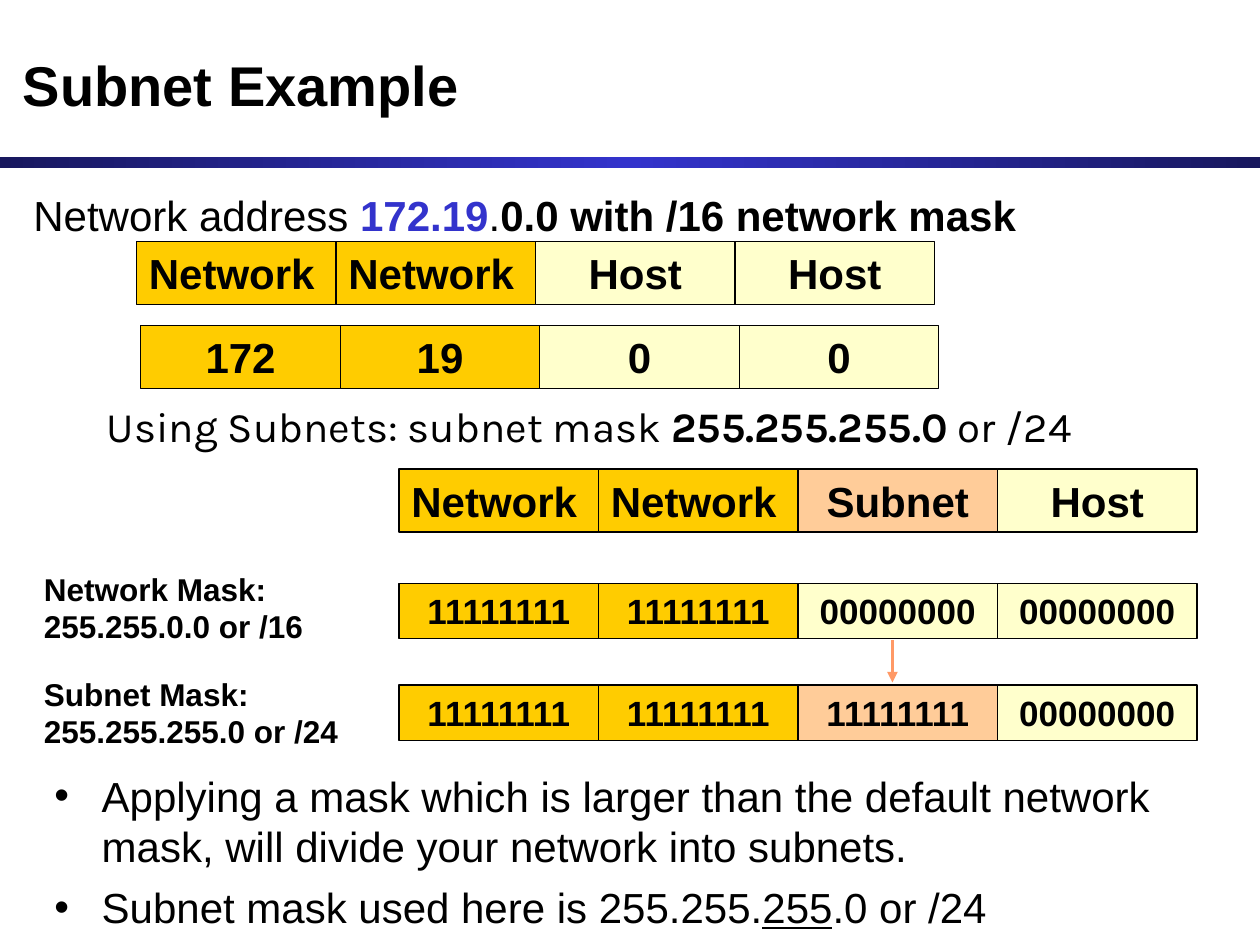
import pptx
import pptx.dml.color
import pptx.enum.shapes
import pptx.enum.text
import pptx.oxml
import pptx.oxml.ns
import pptx.util
from lxml import etree

Pt = pptx.util.Pt
ALIGN = pptx.enum.text.PP_ALIGN
ANCHOR = pptx.enum.text.MSO_ANCHOR
qn = pptx.oxml.ns.qn

COLORS = {
    "text": "000000",
    "accent": "3333CC",
    "bar_edge": "18185E",
    "network": "FFCC00",
    "subnet": "FFCC99",
    "host": "FFFFCC",
    "arrow": "FF9966",
}
CELL_WIDTH = 114


def rgb(name):
    return pptx.dml.color.RGBColor.from_string(COLORS[name])


class SlideBuilder:
    def __init__(self, slide, font="Arial"):
        self.slide = slide
        self.font = font

    def style(self, para, size, bold=None, font=None):
        para.font.name = font or self.font
        para.font.size = Pt(size)
        para.font.bold = bold
        para.font.color.rgb = rgb("text")

    def add_spans(self, para, spans):
        """Fill a paragraph from (text, marks) pairs; marks: b bold, a accent, u underline."""
        for text, marks in spans:
            span = para.add_run()
            span.text = text
            if "b" in marks:
                span.font.bold = True
            if "a" in marks:
                span.font.color.rgb = rgb("accent")
            if "u" in marks:
                span.font.underline = True

    def text(self, left, top, width, height, paragraphs, size, bold=None, font=None,
             anchor=ANCHOR.TOP, bullets=False, line_spacing=None):
        box = self.slide.shapes.add_textbox(Pt(left), Pt(top), Pt(width), Pt(height))
        frame = box.text_frame
        frame.word_wrap = True
        frame.vertical_anchor = anchor
        for index, spans in enumerate(paragraphs):
            para = frame.add_paragraph() if index else frame.paragraphs[0]
            if index:
                para.space_before = Pt(6)
            if line_spacing:
                para.line_spacing = line_spacing
            if bullets:
                self.bullet(para)
            self.style(para, size, bold, font)
            self.add_spans(para, spans)

    def bullet(self, para):
        properties = para._p.get_or_add_pPr()
        properties.set("marL", str(Pt(27)))
        properties.set("indent", str(-Pt(27)))
        etree.SubElement(properties, qn("a:buFont")).set("typeface", self.font)
        etree.SubElement(properties, qn("a:buChar")).set("char", "•")

    def rectangle(self, left, top, width, height):
        shape = self.slide.shapes.add_shape(
            pptx.enum.shapes.MSO_SHAPE.RECTANGLE, Pt(left), Pt(top), Pt(width), Pt(height))
        shape.shadow.inherit = False
        return shape

    def gradient_bar(self, left, top, width, height):
        bar = self.rectangle(left, top, width, height)
        bar.line.fill.background()
        bar.fill.gradient()
        bar.fill.gradient_angle = 0
        stops = bar.fill._fill._gradFill.find(qn("a:gsLst"))
        for stop in list(stops):
            stops.remove(stop)
        for position, color in ((0, "bar_edge"), (50000, "accent"), (100000, "bar_edge")):
            stop = etree.SubElement(stops, qn("a:gs"), pos=str(position))
            etree.SubElement(stop, qn("a:srgbClr"), val=COLORS[color])

    def cell_row(self, left, top, height, size, cells):
        """Draw adjoining cells from (label, kind) pairs."""
        for column, (label, kind) in enumerate(cells):
            cell = self.rectangle(left + column * CELL_WIDTH, top, CELL_WIDTH, height)
            cell.fill.solid()
            cell.fill.fore_color.rgb = rgb(kind)
            cell.line.color.rgb = rgb("text")
            cell.line.width = Pt(0.75)
            frame = cell.text_frame
            frame.word_wrap = True
            frame.vertical_anchor = ANCHOR.TOP
            para = frame.paragraphs[0]
            para.text = label
            para.alignment = ALIGN.LEFT if label == "Network" else ALIGN.CENTER
            self.style(para, size, bold=True)

    def arrow(self, start_x, start_y, end_x, end_y):
        line = self.slide.shapes.add_connector(
            pptx.enum.shapes.MSO_CONNECTOR.STRAIGHT,
            Pt(start_x), Pt(start_y), Pt(end_x), Pt(end_y))
        line.line.color.rgb = rgb("arrow")
        line.line.width = Pt(2)
        etree.SubElement(line.line._get_or_add_ln(), qn("a:tailEnd"), type="triangle")
        etree.SubElement(line._element.spPr, qn("a:effectLst"))


def main():
    deck = pptx.Presentation()
    deck.slide_width, deck.slide_height = Pt(720), Pt(540)
    page = SlideBuilder(deck.slides.add_slide(deck.slide_layouts[6]))

    page.gradient_bar(0, 90, 720, 6)
    page.text(6, 12, 708, 72, [[("Subnet Example", "")]], 32, bold=True, anchor=ANCHOR.MIDDLE)

    page.text(12, 108, 678, 30, [[
        ("Network address ", ""), ("172.19", "ab"), (".", ""),
        ("0.0 with /16 network mask", "b")]], 24, line_spacing=0.9)
    page.text(54, 225.5, 618, 36, [[
        ("Using Subnets: subnet mask ", ""), ("255.255.255.0", "b"),
        (" or /24", "")]], 24, font="Karla")

    ones, zeros = "1" * 8, "0" * 8
    network, host = ("Network", "network"), ("Host", "host")
    network_ones, host_zeros = (ones, "network"), (zeros, "host")
    rows = [
        (78, 138, 36, 24, [network, network, host, host]),
        (80.5, 186, 36, 24, [("172", "network"), ("19", "network"), ("0", "host"), ("0", "host")]),
        (228, 268, 36, 24, [network, network, ("Subnet", "subnet"), host]),
        (228, 333.5, 31.5, 20, [network_ones, network_ones, host_zeros, host_zeros]),
        (228, 391.5, 31.5, 20, [network_ones, network_ones, (ones, "subnet"), host_zeros]),
    ]
    for row in rows:
        page.cell_row(*row)
    page.arrow(510, 366, 510, 390)

    for top, label in ((322, "Network Mask: 255.255.0.0 or /16"),
                       (382, "Subnet Mask: 255.255.255.0 or /24")):
        page.text(18, top, 204, 50, [[(label, "")]], 18, bold=True)

    page.text(24, 436.5, 672, 103, [
        [("Applying a mask which is larger than the default network mask, "
          "will divide your network into subnets.", "")],
        [("Subnet mask used here is 255.255.", ""), ("255", "u"), (".0 or /24", "")],
    ], 24, bullets=True)

    deck.save("out.pptx")


if __name__ == "__main__":
    main()
